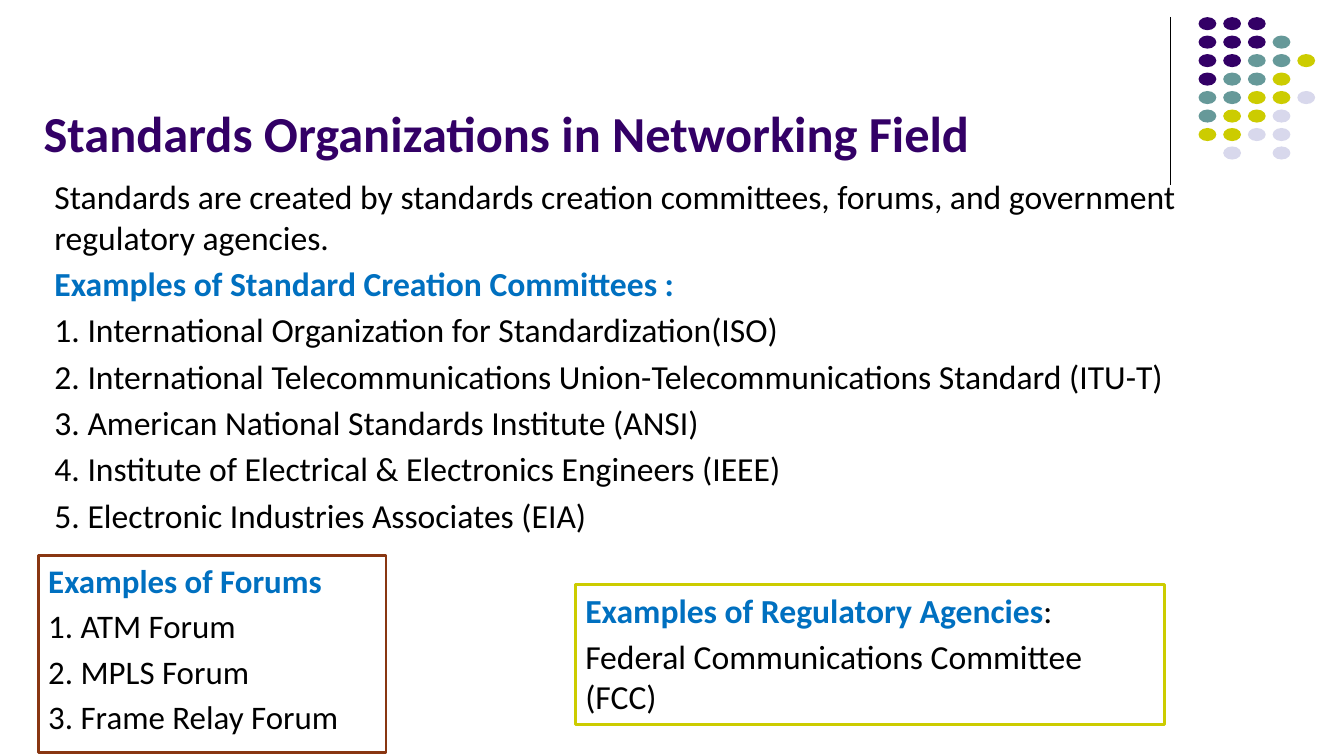
"""Build a slide on standards organizations in the networking field."""
from dataclasses import dataclass

from pptx import Presentation
from pptx.dml.color import RGBColor
from pptx.enum.shapes import MSO_CONNECTOR, MSO_SHAPE
from pptx.enum.text import MSO_ANCHOR, MSO_AUTO_SIZE, PP_ALIGN
from pptx.oxml.ns import qn
from pptx.shapes.autoshape import Shape
from pptx.slide import Slide
from pptx.text.text import Font, TextFrame
from pptx.util import Emu, Inches, Pt

COLS, ROWS = 160, 90
WIDE, HIGH = Inches(13.33), Inches(7.5)
FACE = "Calibri"
HEX = {
    "title": "330066", "head": "0070C0", "text": "000000", "back": "FFFFFF",
    "lime": "CCCC00", "rust": "893611",
    "P": "330066", "T": "669999", "Y": "CCCC00", "L": "D8D8EC",
}
DOTS = ("PPP", "PPPT", "PPTTY", "PTTY", "TTYYL", "TYYL", "YYLL", " L L")


@dataclass
class Area:
    """Hold a place on the grid in columns and rows."""
    col: float
    row: float
    wide: float
    high: float

    def box(self) -> tuple[Emu, Emu, Emu, Emu]:
        """Return left, top, width and height."""
        return (across(self.col), down(self.row),
                across(self.wide), down(self.high))


@dataclass
class Panel:
    """Describe a framed list with a coloured heading."""
    area: Area
    edge: str
    size: float
    head: str
    tail: str
    items: tuple[str, ...]


DOT = Area(142.68, 2.04, 2.12, 1.56)
STEP_X, STEP_Y = 2.94, 2.2
TITLE = Area(4, 3, 134.64, 17)
BODY = Area(5.3, 20.4, 148.3, 51.6)
INTRO = ("Standards are created by standards creation committees, forums, "
         "and government regulatory agencies.")
GROUPS = "Examples of Standard Creation Committees :"
BODIES = (
    "1. International Organization for Standardization(ISO)",
    "2. International Telecommunications Union-Telecommunications Standard (ITU-T)",
    "3. American National Standards Institute (ANSI)",
    "4. Institute of Electrical & Electronics Engineers (IEEE)",
    "5. Electronic Industries Associates (EIA)",
)
PANELS = (
    Panel(Area(68.5, 69.6, 70.1, 16.7), "lime", 24,
          "Examples of Regulatory Agencies", ":",
          ("Federal Communications Committee (FCC)",)),
    Panel(Area(4.56, 66.1, 41.4, 23.5), "rust", 23.5,
          "Examples of Forums", "",
          ("1. ATM Forum", "2. MPLS Forum", "3. Frame Relay Forum")),
)


def across(cols: float) -> Emu:
    """Turn columns into a length."""
    return Emu(round(WIDE * cols / COLS))


def down(rows: float) -> Emu:
    """Turn rows into a length."""
    return Emu(round(HIGH * rows / ROWS))


def tint(key: str) -> RGBColor:
    """Look up a colour."""
    return RGBColor.from_string(HEX[key])


def style(font: Font, size: float, key: str, bold: bool = False) -> None:
    """Format a font."""
    font.name, font.size, font.bold = FACE, Pt(size), bold
    font.color.rgb = tint(key)


def write(frame: TextFrame, lines: tuple[str, ...], head: str,
          size: float) -> None:
    """Fill a frame with lines, one of them a heading."""
    frame.word_wrap = True
    frame.vertical_anchor = MSO_ANCHOR.TOP
    frame.text = "\n".join(lines)
    for rank, para in enumerate(frame.paragraphs):
        para.alignment = PP_ALIGN.LEFT
        para.space_before = Pt(4.3 if rank else 0)
        is_head = para.text == head
        for run in para.runs:
            style(run.font, size, "head" if is_head else "text", is_head)


def add_form(slide: Slide, kind: MSO_SHAPE, area: Area, fill: str) -> Shape:
    """Add a plain filled shape without a line."""
    form = slide.shapes.add_shape(kind, *area.box())
    form.shadow.inherit = False
    form.fill.solid()
    form.fill.fore_color.rgb = tint(fill)
    form.line.fill.background()
    return form


def add_dots(slide: Slide) -> None:
    """Draw the rule and the dots in the corner."""
    rule = slide.shapes.add_connector(
        MSO_CONNECTOR.STRAIGHT, across(139.32), down(2), across(139.32), down(22))
    rule.line.color.rgb = tint("text")
    rule.line.width = Pt(0.75)
    props = rule._element.spPr
    props.append(props.makeelement(qn("a:effectLst"), {}))
    for row, keys in enumerate(DOTS):
        for col, key in enumerate(keys):
            if key != " ":
                spot = Area(DOT.col + col * STEP_X, DOT.row + row * STEP_Y,
                            DOT.wide, DOT.high)
                add_form(slide, MSO_SHAPE.OVAL, spot, key)


def add_title(slide: Slide) -> None:
    """Place and format the title."""
    title = slide.shapes.title
    title.left, title.top, title.width, title.height = TITLE.box()
    frame = title.text_frame
    frame.text = "Standards Organizations in Networking Field"
    frame.auto_size = MSO_AUTO_SIZE.NONE
    frame.vertical_anchor = MSO_ANCHOR.BOTTOM
    para = frame.paragraphs[0]
    para.alignment = PP_ALIGN.LEFT
    style(para.runs[0].font, 36, "title", True)


def add_panel(slide: Slide, panel: Panel) -> None:
    """Draw a framed list."""
    form = add_form(slide, MSO_SHAPE.RECTANGLE, panel.area, "back")
    form.line.color.rgb = tint(panel.edge)
    form.line.width = Pt(2)
    frame = form.text_frame
    write(frame, (panel.head, *panel.items), panel.head, panel.size)
    if panel.tail:
        run = frame.paragraphs[0].add_run()
        run.text = panel.tail
        style(run.font, panel.size, "text")


def main() -> None:
    """Build and save the slide."""
    deck = Presentation()
    deck.slide_width, deck.slide_height = WIDE, HIGH
    slide = deck.slides.add_slide(deck.slide_layouts.get_by_name("Title Only"))
    slide.background.fill.solid()
    slide.background.fill.fore_color.rgb = tint("back")
    add_dots(slide)
    add_title(slide)
    body = slide.shapes.add_textbox(*BODY.box())
    write(body.text_frame, (INTRO, GROUPS, *BODIES), GROUPS, 24)
    for panel in PANELS:
        add_panel(slide, panel)
    deck.save("out.pptx")


if __name__ == "__main__":
    main()
